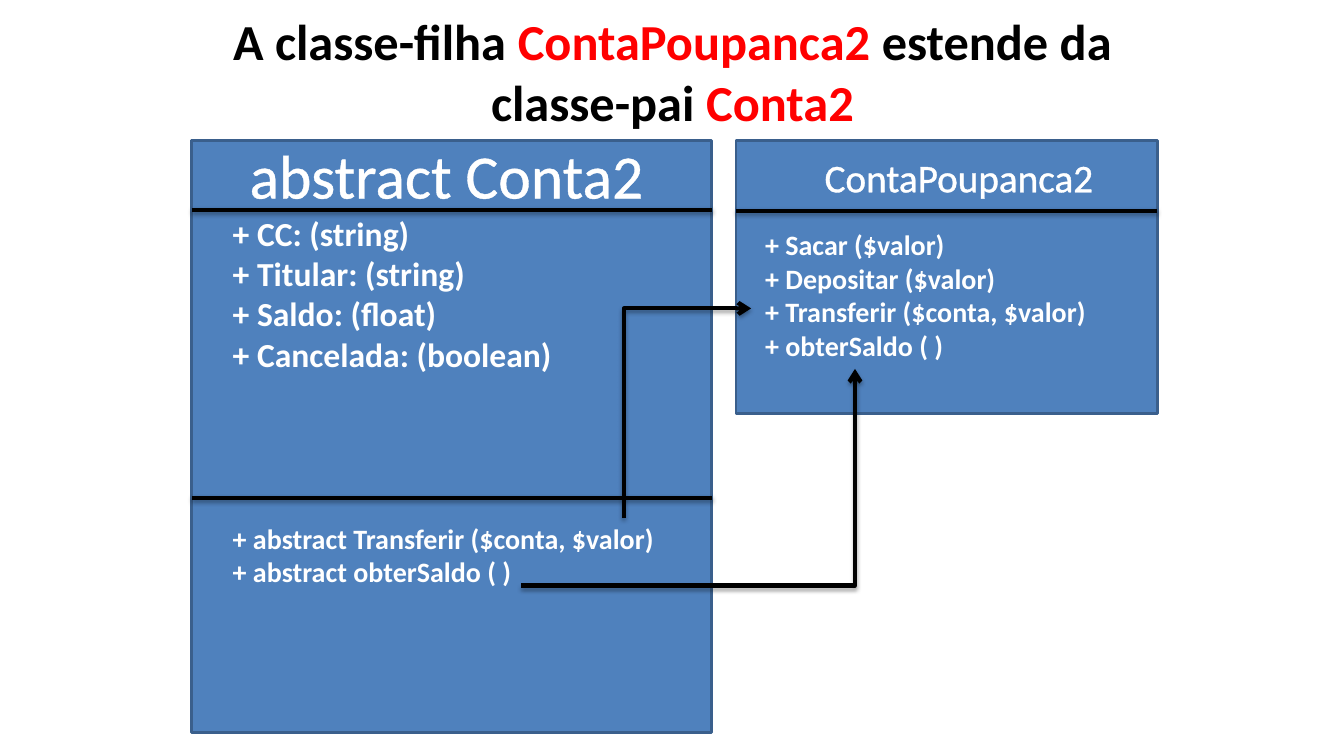
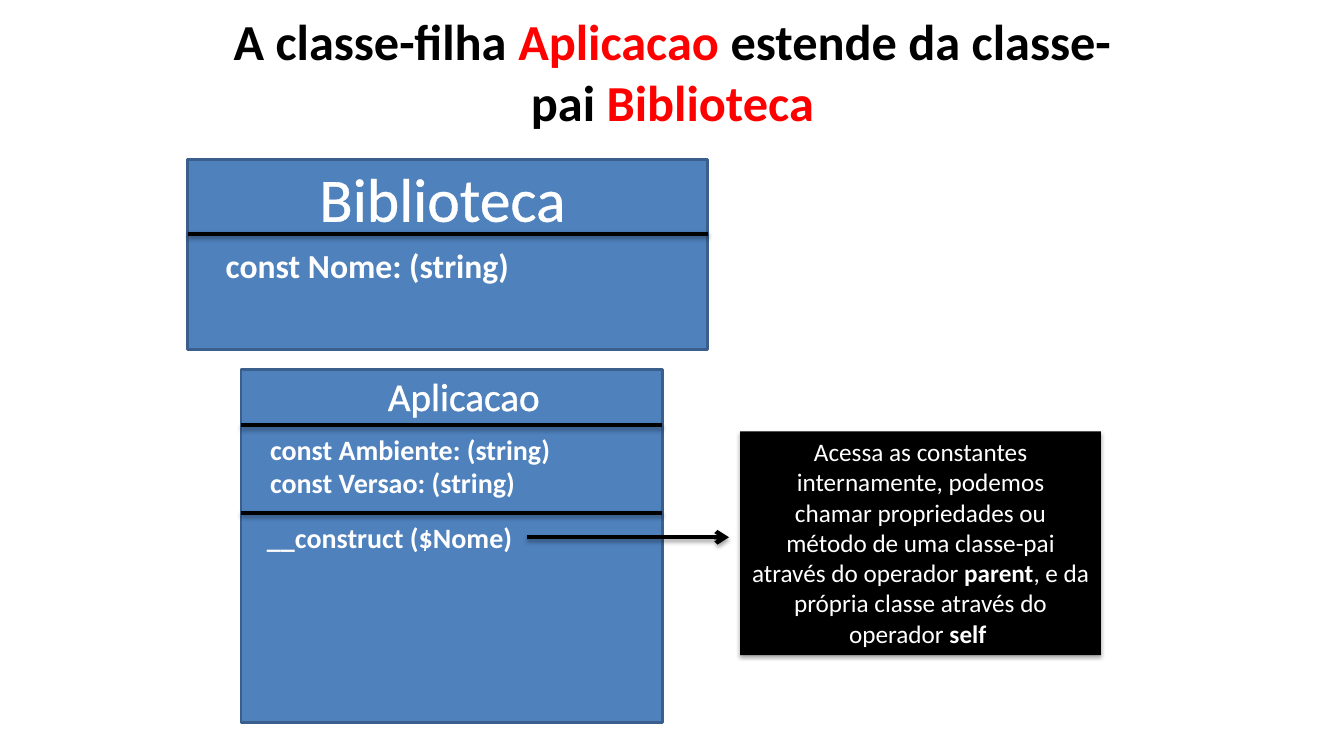
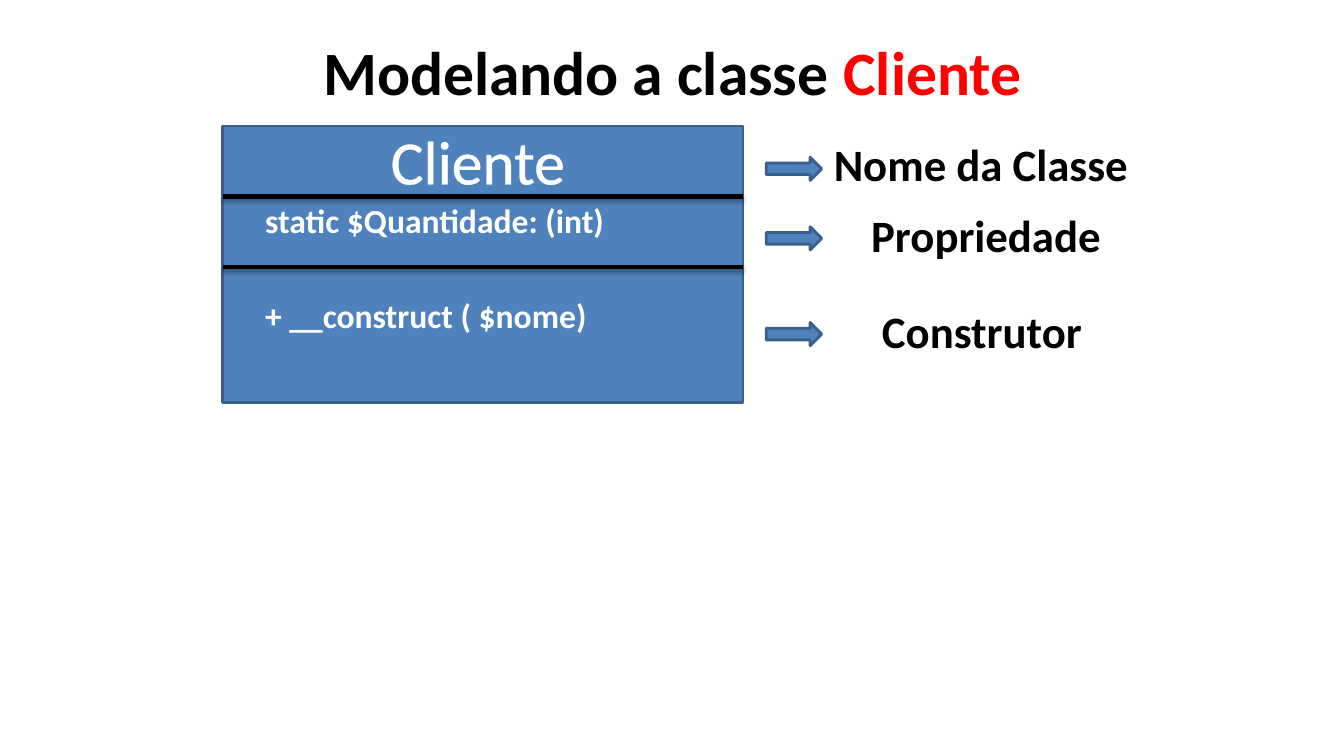
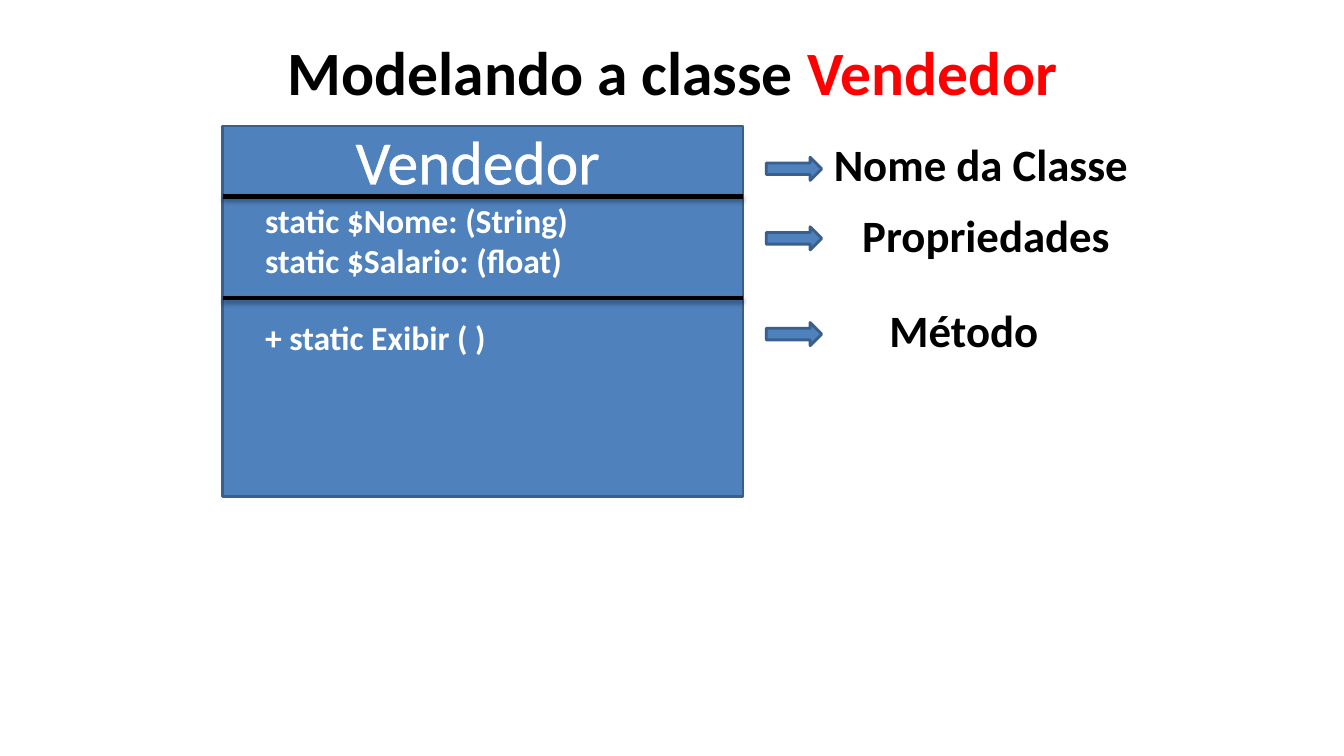
from dataclasses import dataclass
from typing import Any, NamedTuple

from lxml import etree
from pptx import Presentation
from pptx import util as u
from pptx.dml import color
from pptx.enum import shapes, text
from pptx.oxml import ns

COLOURS = {
    "black": "000000",
    "white": "FFFFFF",
    "red": "FF0000",
    "blue": "4F81BD",
    "edge": "3A5F8C",
}
FONT = "Calibri"
BLUR, DISTANCE, DOWN, OPACITY = u.Pt(3.1), u.Pt(1.8), 5400000, 35000
SHAPE = shapes.MSO_SHAPE
CONNECTOR = shapes.MSO_CONNECTOR
LEFT, CENTRE = text.PP_ALIGN.LEFT, text.PP_ALIGN.CENTER


class Span(NamedTuple):
    words: str
    colour: str = "white"
    bold: bool = True


class Area(NamedTuple):
    left: float
    top: float
    width: float
    height: float

    def lengths(self) -> list[u.Length]:
        return [u.Inches(value) for value in self]


class Point(NamedTuple):
    x: float
    y: float


class Heading(NamedTuple):
    words: str
    top: float
    size: int
    height: float
    shift: float


class Members(NamedTuple):
    lines: tuple[str, ...]
    left: float
    top: float
    size: int


class Label(NamedTuple):
    words: str
    centre: float
    top: float


@dataclass(frozen=True)
class ClassBox:
    area: Area
    heading: Heading
    rules: tuple[float, ...]
    members: tuple[Members, ...]


@dataclass(frozen=True)
class ModelPage:
    name: str
    height: float
    method_rule: float
    properties: tuple[str, ...]
    method: str
    method_top: float
    labels: tuple[Label, ...]


def large_heading(words: str, top: float) -> Heading:
    return Heading(words, top, 44, 0.84, -0.05)


def small_heading(words: str, top: float) -> Heading:
    return Heading(words, top, 28, 0.57, 0.12)


def rgb(name: str) -> color.RGBColor:
    return color.RGBColor.from_string(COLOURS[name])


def set_attributes(target: Any, values: dict[str, Any]) -> None:
    for name, value in values.items():
        setattr(target, name, value)


def add_node(parent: Any, tag: str, **attributes: Any) -> Any:
    values = {name: str(value) for name, value in attributes.items()}
    return etree.SubElement(parent, ns.qn(tag), values)


def add_colour(parent: Any, name: str) -> Any:
    return add_node(add_node(parent, "a:solidFill"), "a:srgbClr", val=COLOURS[name])


def add_shadow(shape: Any) -> None:
    effects = add_node(shape._element.spPr, "a:effectLst")
    shadow = add_node(effects, "a:outerShdw", blurRad=int(BLUR), dist=int(DISTANCE),
                      dir=DOWN, rotWithShape=0)
    tint = add_node(shadow, "a:srgbClr", val=COLOURS["black"])
    add_node(tint, "a:alpha", val=OPACITY)


def outline_text(span: Any) -> None:
    properties = span._r.get_or_add_rPr()
    outline = add_node(properties, "a:ln", w=int(u.Pt(1.45)))
    add_colour(outline, "white")
    properties.insert(0, outline)


def write(frame: Any, lines: list[list[Span]], size: int, align: Any = LEFT,
          wrap: bool = True, middle: bool = False, outlined: bool = False) -> None:
    anchor = text.MSO_ANCHOR.MIDDLE if middle else text.MSO_ANCHOR.TOP
    set_attributes(frame, {"word_wrap": wrap, "vertical_anchor": anchor})
    for index, line in enumerate(lines):
        para = frame.add_paragraph() if index else frame.paragraphs[0]
        para.alignment = align
        for part in line:
            span = para.add_run()
            span.text = part.words
            set_attributes(span.font, {"name": FONT, "size": u.Pt(size), "bold": part.bold})
            span.font.color.rgb = rgb(part.colour)
            if outlined:
                outline_text(span)


def add_text(page: Any, area: Area, lines: list[list[Span]], size: int, **layout: Any) -> None:
    box = page.shapes.add_textbox(*area.lengths())
    write(box.text_frame, lines, size, **layout)


def add_title(page: Any, size: int, *spans: Span) -> None:
    add_text(page, Area(2.17, 0.08, 9, 1.25), [list(spans)], size, align=CENTRE, middle=True)


def add_block(page: Any, kind: Any, area: Area) -> None:
    shape = page.shapes.add_shape(kind, *area.lengths())
    shape.shadow.inherit = False
    shape.fill.solid()
    shape.fill.fore_color.rgb = rgb("blue")
    shape.line.color.rgb = rgb("edge")
    shape.line.width = u.Pt(2)


def add_line(page: Any, start: Point, end: Point, kind: Any = CONNECTOR.STRAIGHT,
             arrow: bool = False) -> Any:
    line = page.shapes.add_connector(kind, *[u.Inches(value) for value in (*start, *end)])
    line.line.color.rgb = rgb("black")
    line.line.width = u.Pt(3)
    if arrow:
        add_node(line.line._get_or_add_ln(), "a:tailEnd", type="arrow")
    add_shadow(line)
    return line


def add_elbow(page: Any, start: Point, end: Point, vertical_first: bool = False) -> None:
    if vertical_first:
        x, y = (start.x + end.x) / 2, (start.y + end.y) / 2
        start, end = [Point(x + point.y - y, y - point.x + x) for point in (start, end)]
    elbow = add_line(page, start, end, CONNECTOR.ELBOW, arrow=True)
    if vertical_first:
        elbow.rotation = 90
    geometry = elbow._element.spPr.find(ns.qn("a:prstGeom"))
    guides = geometry.find(ns.qn("a:avLst"))
    add_node(guides, "a:gd", name="adj1", fmla="val 100000")


def add_class(page: Any, box: ClassBox) -> None:
    area, heading = box.area, box.heading
    add_block(page, SHAPE.RECTANGLE, area)
    for y in box.rules:
        add_line(page, Point(area.left, y), Point(area.left + area.width, y))
    add_text(page, Area(area.left + heading.shift, heading.top, area.width, heading.height),
             [[Span(heading.words, bold=False)]], heading.size,
             align=CENTRE, wrap=False, outlined=True)
    for group in box.members:
        height = 0.1 + len(group.lines) * group.size / 60
        add_text(page, Area(group.left, group.top, area.width - 0.35, height),
                 [[Span(line)] for line in group.lines], group.size)


def add_label(page: Any, label: Label) -> None:
    width = 3.15
    add_text(page, Area(label.centre - width / 2, label.top, width, 0.64),
             [[Span(label.words, "black")]], 32, align=CENTRE, wrap=False)


def draw_account(page: Any) -> None:
    add_title(page, 36, Span("A classe-filha ", "black"), Span("ContaPoupanca2 ", "red"),
              Span("estende da classe-pai ", "black"), Span("Conta2", "red"))
    add_class(page, ClassBox(
        Area(1.9, 1.39, 5.16, 5.88), large_heading("abstract Conta2", 1.31), (2.08, 4.94),
        (Members(("+ CC: (string)", "+ Titular: (string)", "+ Saldo: (float)",
                  "+ Cancelada: (boolean)"), 2.21, 2.06, 24),
         Members(("+ abstract Transferir ($conta, $valor)",
                  "+ abstract obterSaldo ( )"), 2.21, 5.12, 20))))
    add_class(page, ClassBox(
        Area(7.3, 1.39, 4.18, 2.71), small_heading("ContaPoupanca2", 1.47), (2.09,),
        (Members(("+ Sacar ($valor)", "+ Depositar ($valor)",
                  "+ Transferir ($conta, $valor)", "+ obterSaldo ( )"), 7.49, 2.21, 20),)))
    add_elbow(page, Point(6.19, 5.14), Point(7.45, 3.06), vertical_first=True)
    add_elbow(page, Point(5.17, 5.81), Point(8.48, 3.66))


def draw_library(page: Any) -> None:
    add_title(page, 36, Span("A classe-filha ", "black"), Span("Aplicacao ", "red"),
              Span("estende da classe-pai ", "black"), Span("Biblioteca", "red"))
    add_class(page, ClassBox(
        Area(1.86, 1.58, 5.16, 1.89), large_heading("Biblioteca", 1.54), (2.32,),
        (Members(("const Nome: (string)",), 2.14, 2.38, 24),)))
    add_class(page, ClassBox(
        Area(2.39, 3.67, 4.18, 3.5), small_heading("Aplicacao", 3.64), (4.22, 5.09),
        (Members(("const Ambiente: (string)", "const Versao: (string)"), 2.58, 4.24, 20),
         Members(("__construct ($Nome)",), 2.55, 5.11, 20))))
    add_line(page, Point(5.23, 5.33), Point(7.23, 5.33), arrow=True)

    note = page.shapes.add_shape(SHAPE.RECTANGLE, *Area(7.34, 4.28, 3.58, 2.22).lengths())
    note.fill.solid()
    note.fill.fore_color.rgb = rgb("black")
    note.line.fill.background()
    add_shadow(note)
    plain = [[Span(line, bold=False)] for line in (
        "Acessa as constantes", "internamente, podemos", "chamar propriedades ou",
        "método de uma classe-pai", "através do operador ",
        "própria classe através do", "operador ")]
    plain[4] += [Span("parent"), Span(", e da", bold=False)]
    plain[6].append(Span("self "))
    write(note.text_frame, plain, 18, align=CENTRE, wrap=False)


def draw_model(page: Any, model: ModelPage) -> None:
    add_title(page, 44, Span("Modelando a classe ", "black"), Span(model.name, "red"))
    add_class(page, ClassBox(
        Area(2.21, 1.25, 5.16, model.height), large_heading(model.name, 1.17),
        (1.95, model.method_rule),
        (Members(model.properties, 2.53, 1.93, 24),
         Members((model.method,), 2.53, model.method_top, 24))))
    for top in (1.56, 2.25, 3.2):
        add_block(page, SHAPE.RIGHT_ARROW, Area(7.6, top, 0.55, 0.23))
    for label in (Label("Nome da Classe", 9.73, 1.31), *model.labels):
        add_label(page, label)


MODELS = (
    ModelPage("Cliente", 2.74, 2.65, ("static $Quantidade: (int)",),
              "+ __construct ( $nome)", 2.88,
              (Label("Propriedade", 9.78, 2.01), Label("Construtor", 9.74, 2.96))),
    ModelPage("Vendedor", 3.68, 2.96, ("static $Nome: (String)", "static $Salario: (float)"),
              "+ static Exibir ( )", 3.09,
              (Label("Propriedades", 9.78, 2.01), Label("Método", 9.56, 2.95))),
)


def main() -> None:
    deck = Presentation()
    set_attributes(deck, {"slide_width": u.Inches(13.33), "slide_height": u.Inches(7.5)})
    blank = deck.slide_layouts[6]
    for draw in (draw_account, draw_library):
        draw(deck.slides.add_slide(blank))
    for model in MODELS:
        draw_model(deck.slides.add_slide(blank), model)
    deck.save("out.pptx")


if __name__ == "__main__":
    main()
